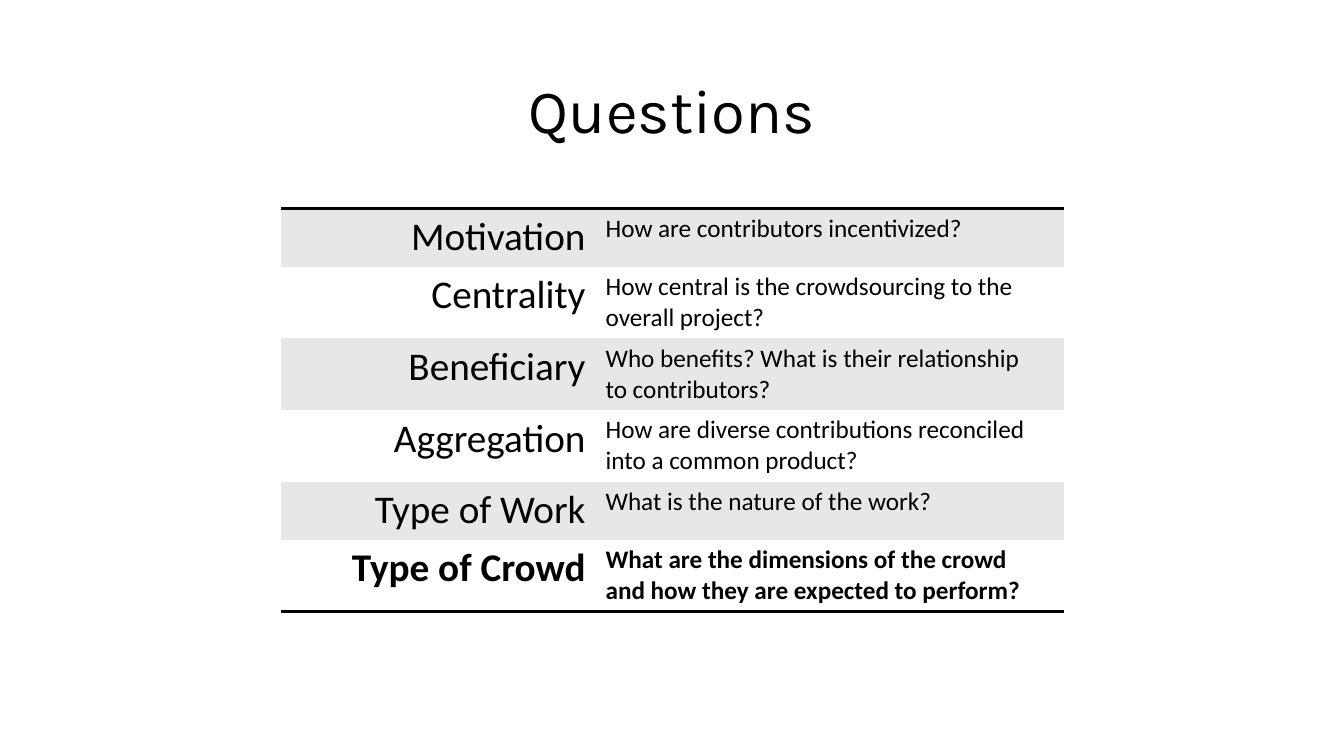
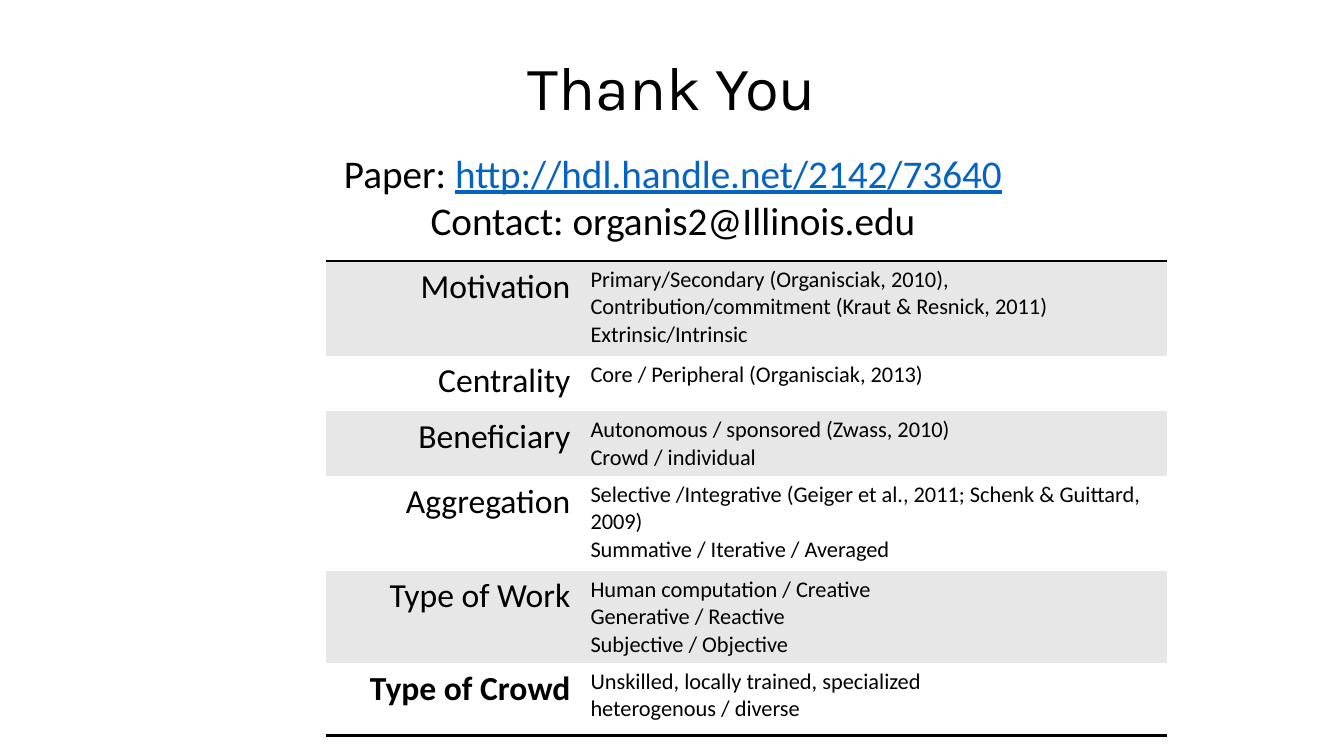
from lxml.etree import SubElement
from pptx import Presentation
from pptx.dml.color import RGBColor
from pptx.enum.text import MSO_ANCHOR as Anchor, MSO_AUTO_SIZE as AutoSize, PP_ALIGN as Align
from pptx.oxml.ns import qn
from pptx.util import Pt

COLORS = {"text": "000000", "band": "E7E7E7", "plain": "FFFFFF", "link": "0563C1"}
TITLE_FONT, BODY_FONT = "Karla", "Calibri"
NO_STYLE_TABLE = "{2D5ABB26-0587-4C30-8999-92F81FD0307C}"
RULE_WIDTH = 2
TITLE_LEFT, TITLE_TOP, TITLE_WIDTH = 66, 28.8, 828

TOPICS = ["Motivation", "Centrality", "Beneficiary", "Aggregation", "Type of Work", "Type of Crowd"]

QUESTIONS = {
    "title": "Questions",
    "title_height": 104.4,
    "table": {
        "position": (201, 149),
        "columns": (224.4, 334.6),
        "rows": (41.4, 51.2, 51.2, 51.2, 41.4, 51.2),
        "sizes": (28, 18),
        "bold_last_details": True,
        "details": [
            ["How are contributors incentivized?"],
            ["How central is the crowdsourcing to the", "overall project?"],
            ["Who benefits? What is their relationship", "to contributors?"],
            ["How are diverse contributions reconciled", "into a common product?"],
            ["What is the nature of the work?"],
            ["What are the dimensions of the crowd", "and how they are expected to perform?"],
        ],
    },
}

THANK_YOU = {
    "title": "Thank You",
    "title_height": 71.4,
    "table": {
        "position": (232.6, 186.5),
        "columns": (182, 419),
        "rows": (67.7, 39.6, 46.1, 67.7, 65.8, 51.8),
        "sizes": (24, 16),
        "bold_last_details": False,
        "details": [
            ["Primary/Secondary (Organisciak, 2010),",
             "Contribution/commitment (Kraut & Resnick, 2011)", "Extrinsic/Intrinsic"],
            ["Core / Peripheral (Organisciak, 2013)"],
            ["Autonomous / sponsored (Zwass, 2010)", "Crowd / individual"],
            ["Selective /Integrative (Geiger et al., 2011; Schenk & Guittard, 2009)",
             "Summative / Iterative / Averaged"],
            ["Human computation / Creative", "Generative / Reactive", "Subjective / Objective"],
            ["Unskilled, locally trained, specialized", "heterogenous / diverse"],
        ],
    },
}

CONTACT_BOX = (146.2, 103, 668.9, 74.9)
CONTACT_LINES = [
    ["Paper: ", ("http://hdl.handle.net/2142/73640", {"color": "link", "underline": True})],
    ["Contact: organis2@Illinois.edu"],
]


def write_text(frame, lines, align=Align.LEFT, **text_format):
    """Fill a frame; each line lists runs, given as text or (text, own format)."""
    for index, line in enumerate(lines):
        paragraph = frame.add_paragraph() if index else frame.paragraphs[0]
        paragraph.alignment = align
        for item in [line] if isinstance(line, str) else line:
            text, own_format = (item, {}) if isinstance(item, str) else item
            run = paragraph.add_run()
            run.text = text
            format_font(run.font, **{**text_format, **own_format})


def format_font(font, size, name=BODY_FONT, color="text", bold=False, underline=False):
    font.size = Pt(size)
    font.name = name
    font.bold = bold
    font.underline = underline
    font.color.rgb = RGBColor.from_string(COLORS[color])


def add_rule(cell, side):
    """Draw a cell border on side "T" or "B"; the line must come before the fill."""
    properties = cell._tc.get_or_add_tcPr()
    line = SubElement(properties, qn(f"a:ln{side}"), w=str(Pt(RULE_WIDTH)))
    fill = SubElement(line, qn("a:solidFill"))
    SubElement(fill, qn("a:srgbClr"), val=COLORS["text"])


def add_titled_slide(presentation, content):
    slide = presentation.slides.add_slide(presentation.slide_layouts[5])
    title = slide.shapes.title
    title.left, title.top = Pt(TITLE_LEFT), Pt(TITLE_TOP)
    title.width, title.height = Pt(TITLE_WIDTH), Pt(content["title_height"])
    frame = title.text_frame
    frame.auto_size = AutoSize.NONE
    frame.vertical_anchor = Anchor.MIDDLE
    write_text(frame, [content["title"]], align=Align.CENTER, size=44, name=TITLE_FONT)
    frame.paragraphs[0].line_spacing = 0.9
    add_topic_table(slide, **content["table"])
    return slide


def add_topic_table(slide, position, columns, rows, sizes, bold_last_details, details):
    box = (*position, sum(columns), sum(rows))
    table = slide.shapes.add_table(len(rows), len(columns), *map(Pt, box)).table
    table.first_row = table.horz_banding = False
    table._tbl.tblPr.find(qn("a:tableStyleId")).text = NO_STYLE_TABLE
    for column, width in zip(table.columns, columns):
        column.width = Pt(width)
    last = len(rows) - 1
    for index, (topic, lines) in enumerate(zip(TOPICS, details)):
        row = table.rows[index]
        row.height = Pt(rows[index])
        for cell in row.cells:
            if index == 0:
                add_rule(cell, "T")
            if index == last:
                add_rule(cell, "B")
            cell.fill.solid()
            color = COLORS["plain" if index % 2 else "band"]
            cell.fill.fore_color.rgb = RGBColor.from_string(color)
        label, detail = row.cells
        write_text(label.text_frame, [topic], align=Align.RIGHT, size=sizes[0], bold=index == last)
        write_text(detail.text_frame, lines, size=sizes[1], bold=bold_last_details and index == last)


def main():
    presentation = Presentation()
    presentation.slide_width, presentation.slide_height = Pt(960), Pt(540)
    add_titled_slide(presentation, QUESTIONS)
    closing_slide = add_titled_slide(presentation, THANK_YOU)
    contact = closing_slide.shapes.add_textbox(*map(Pt, CONTACT_BOX)).text_frame
    contact.word_wrap = True
    write_text(contact, CONTACT_LINES, align=Align.CENTER, size=28)
    presentation.save("out.pptx")


if __name__ == "__main__":
    main()
